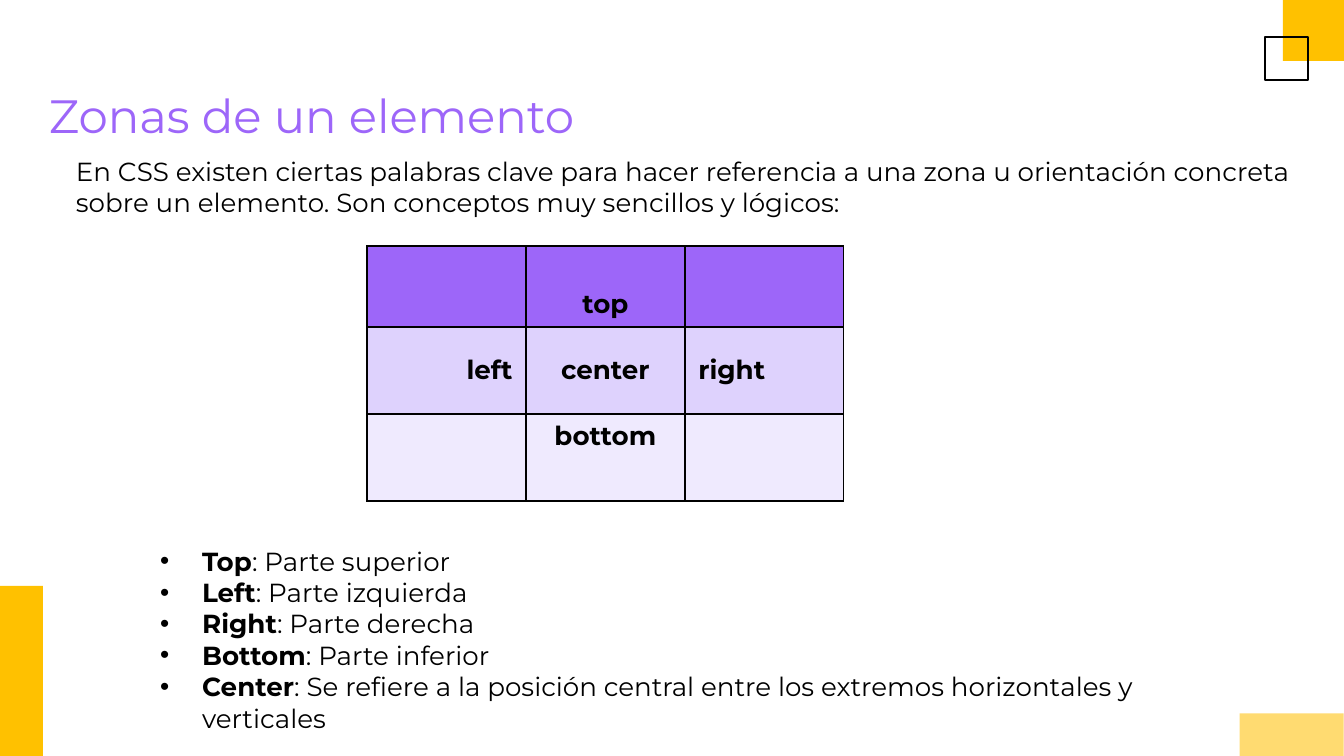
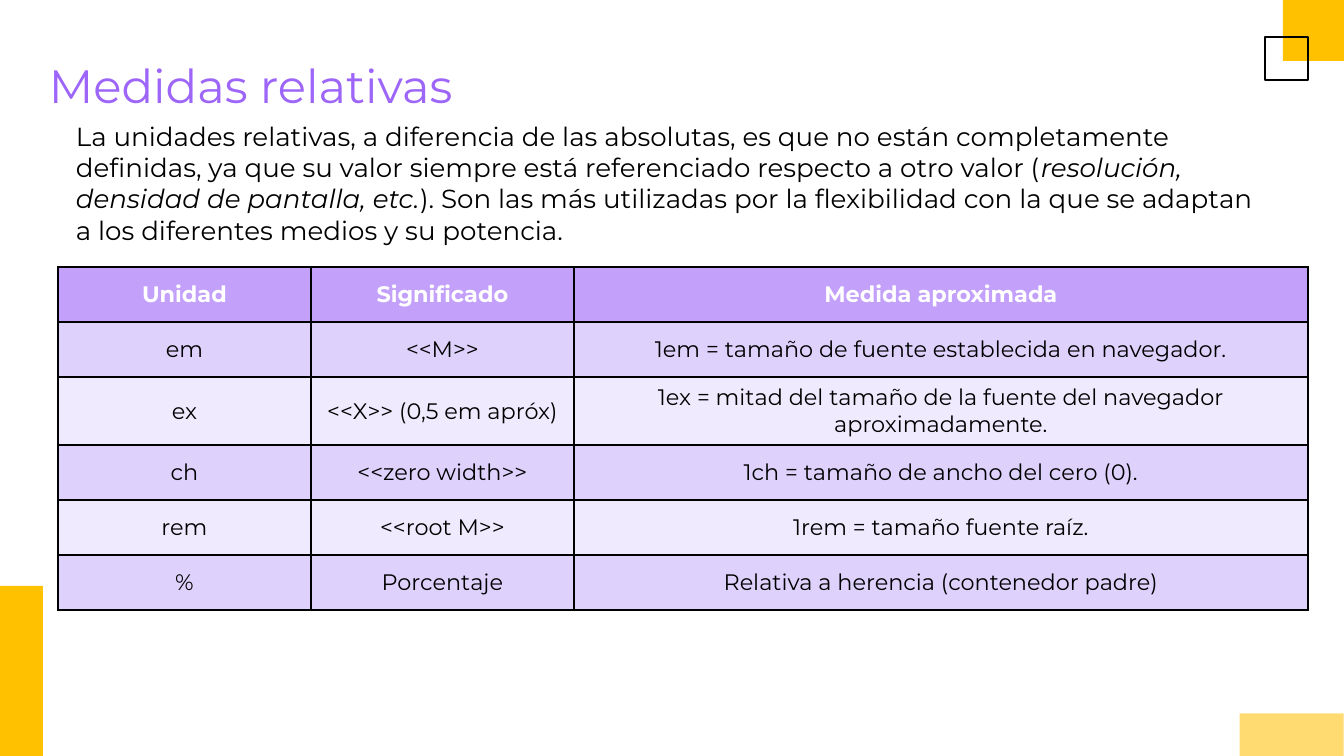
"""Build two slides about CSS: the zones of an element and the relative units."""
from lxml import etree
from pptx import Presentation
from pptx.dml.color import RGBColor
from pptx.enum.shapes import MSO_SHAPE
from pptx.enum.text import MSO_ANCHOR, MSO_AUTO_SIZE, PP_ALIGN
from pptx.oxml.ns import qn
from pptx.util import Pt

PX = 914400 / 134.4
WIDTH, HEIGHT = 1344, 756
INSET = round(13 * PX)
FONT = "Montserrat"
TITLE_SIZE, TEXT_SIZE, UNIT_SIZE = 25, 14, 12
THIN, THICK = 0.75, 0.96

BLACK = RGBColor(0x00, 0x00, 0x00)
WHITE = RGBColor(0xFF, 0xFF, 0xFF)
YELLOW = RGBColor(0xFF, 0xC1, 0x00)
PALE_YELLOW = RGBColor(0xFF, 0xDB, 0x71)
PURPLE = RGBColor(0x9D, 0x66, 0xF9)
MID_PURPLE = RGBColor(0xC3, 0xA1, 0xFB)
LILAC = RGBColor(0xDE, 0xD2, 0xFD)
PALE_LILAC = RGBColor(0xEF, 0xEA, 0xFE)

RECTANGLE = MSO_SHAPE.RECTANGLE
LEFT, CENTER, RIGHT = PP_ALIGN.LEFT, PP_ALIGN.CENTER, PP_ALIGN.RIGHT
TOP, MIDDLE, BOTTOM = MSO_ANCHOR.TOP, MSO_ANCHOR.MIDDLE, MSO_ANCHOR.BOTTOM
NO_AUTOFIT = MSO_AUTO_SIZE.NONE
SIDES = {"a:lnL": (0, -1), "a:lnR": (0, 1), "a:lnT": (-1, 0), "a:lnB": (1, 0)}


def style_paragraph(paragraph, size, color, alignment=LEFT, bold=False):
    """Format a paragraph and all its runs."""
    paragraph.alignment = alignment
    paragraph.space_before = paragraph.space_after = Pt(0)
    for run in paragraph.runs:
        run.font.name = FONT
        run.font.size = Pt(size)
        run.font.color.rgb = color
        run.font.bold = bold


def add_grid(slide, position, widths, heights, rows, fills, alignments, anchors,
             size, bold, line_width, thick_cell=None):
    """Add a bordered table, with heavier lines around thick_cell."""
    left, top = position
    table = slide.shapes.add_table(
        len(heights), len(widths), round(left * PX), round(top * PX),
        round(sum(widths) * PX), round(sum(heights) * PX)).table
    table.horz_banding = False
    for column, width in zip(table.columns, widths):
        column.width = round(width * PX)
    for row, height in zip(table.rows, heights):
        row.height = round(height * PX)
    for i, texts in enumerate(rows):
        for j, text in enumerate(texts):
            cell = table.cell(i, j)
            cell.text = text
            cell.vertical_anchor = anchors[i]
            style_paragraph(cell.text_frame.paragraphs[0], size, BLACK, alignments[j], bold)
            properties = cell._tc.get_or_add_tcPr()
            for tag, (down, across) in SIDES.items():
                thick = thick_cell in ((i, j), (i + down, j + across))
                line = etree.SubElement(properties, qn(tag))
                line.set("w", str(Pt(THICK if thick else line_width)))
                fill = etree.SubElement(line, qn("a:solidFill"))
                etree.SubElement(fill, qn("a:srgbClr")).set("val", str(BLACK))
            cell.fill.solid()
            cell.fill.fore_color.rgb = fills[i]
    return table


presentation = Presentation()
presentation.slide_width = round(WIDTH * PX)
presentation.slide_height = round(HEIGHT * PX)
zones_slide = presentation.slides.add_slide(presentation.slide_layouts[1])
units_slide = presentation.slides.add_slide(presentation.slide_layouts[5])

decorations = [
    (1283, 0, 61, 61, 0, YELLOW),
    (0, 586, 43, 170, 0, YELLOW),
    (1265, 37, 43, 43, 0, None),
    (1270, 683, 43, 104, 90, PALE_YELLOW),
]
master_tree = presentation.slide_master.shapes.element
for number, (left, top, width, height, rotation, color) in enumerate(decorations):
    shape = zones_slide.shapes.add_shape(
        RECTANGLE, *(round(length * PX) for length in (left, top, width, height)))
    shape.shadow.inherit = False
    shape.rotation = rotation
    if color is None:
        shape.fill.background()
        shape.line.color.rgb = BLACK
        shape.line.width = Pt(1.5)
    else:
        shape.fill.solid()
        shape.fill.fore_color.rgb = color
        shape.line.fill.background()
    shape.element.nvSpPr.cNvPr.set("id", str(20 + number))
    master_tree.append(shape.element)

contents = [
    (zones_slide, "Zonas de un elemento", 74, (142, 1262, 83), [
        ("En CSS existen ciertas palabras clave para hacer referencia a una zona u "
         "orientación concreta sobre un elemento. Son conceptos muy sencillos y lógicos:", False),
    ]),
    (units_slide, "Medidas relativas", 44, (107, 1235, 134), [
        ("La unidades relativas, a diferencia de las absolutas, es que no están completamente "
         "definidas, ya que su valor siempre está referenciado respecto a otro valor (", False),
        ("resolución, densidad de pantalla, etc.", True),
        ("). Son las más utilizadas por la flexibilidad con la que se adaptan a los diferentes "
         "medios y su potencia.", False),
    ]),
]
zone_list = zones_slide.placeholders[1]
zone_list.left, zone_list.top = round(130 * PX), round(532 * PX)
zone_list.width, zone_list.height = round(1094 * PX), round(216 * PX)
frames = [zone_list.text_frame]

for slide, title_text, title_top, (top, width, height), parts in contents:
    title = slide.shapes.title
    title.left, title.top = round(36 * PX), round(title_top * PX)
    title.width, title.height = round(1273 * PX), round(85 * PX)
    title.text_frame.text = title_text
    style_paragraph(title.text_frame.paragraphs[0], TITLE_SIZE, PURPLE)

    intro = slide.shapes.add_textbox(
        round(46 * PX), round(top * PX), round(width * PX), round(height * PX))
    paragraph = intro.text_frame.paragraphs[0]
    for text, italic in parts:
        run = paragraph.add_run()
        run.text = text
        run.font.italic = italic
    style_paragraph(paragraph, TEXT_SIZE, BLACK)
    paragraph._p.get_or_add_pPr().set("marL", str(round(17 * PX)))
    frames += [title.text_frame, intro.text_frame]

for frame in frames:
    frame.word_wrap = True
    frame.auto_size = NO_AUTOFIT
    frame.vertical_anchor = TOP
    frame.margin_left = frame.margin_right = INSET
    frame.margin_top = frame.margin_bottom = INSET

zones = [
    ("Top", "Parte superior"),
    ("Left", "Parte izquierda"),
    ("Right", "Parte derecha"),
    ("Bottom", "Parte inferior"),
    ("Center", "Se refiere a la posición central entre los extremos horizontales y verticales"),
]
for index, (zone, meaning) in enumerate(zones):
    frame = zone_list.text_frame
    paragraph = frame.add_paragraph() if index else frame.paragraphs[0]
    paragraph.text = zone
    paragraph.add_run().text = f": {meaning}"
    style_paragraph(paragraph, TEXT_SIZE, BLACK)
    paragraph.runs[0].font.bold = True
    properties = paragraph._p.get_or_add_pPr()
    properties.set("marL", str(round(59 * PX)))
    properties.set("indent", str(round(-42 * PX)))
    bullet_color = etree.SubElement(properties, qn("a:buClr"))
    etree.SubElement(bullet_color, qn("a:srgbClr")).set("val", str(BLACK))
    etree.SubElement(properties, qn("a:buFont")).set("typeface", "Arial")
    etree.SubElement(properties, qn("a:buChar")).set("char", "•")

zone_rows = [
    ("", "top", ""),
    ("left", "center", "right"),
    ("", "bottom", ""),
]
add_grid(zones_slide, (367, 246), [159] * 3, [81, 87, 87], zone_rows,
         [PURPLE, LILAC, PALE_LILAC], [RIGHT, CENTER, LEFT], [BOTTOM, MIDDLE, TOP],
         TEXT_SIZE, True, THIN, thick_cell=(1, 1))

unit_rows = [
    ("Unidad", "Significado", "Medida aproximada"),
    ("em", "<<M>>", "1em = tamaño de fuente establecida en navegador."),
    ("ex", "<<X>> (0,5 em apróx)",
     "1ex = mitad del tamaño de la fuente del navegador aproximadamente."),
    ("ch", "<<zero width>>", "1ch = tamaño de ancho del cero (0)."),
    ("rem", "<<root M>>", "1rem = tamaño fuente raíz."),
    ("%", "Porcentaje", "Relativa a herencia (contenedor padre)"),
]
unit_fills = [MID_PURPLE, LILAC, PALE_LILAC, LILAC, PALE_LILAC, LILAC]
unit_table = add_grid(units_slide, (58, 267), [253, 263, 734], [55, 55, 66, 55, 55, 55],
                      unit_rows, unit_fills, [CENTER] * 3, [MIDDLE] * 6,
                      UNIT_SIZE, False, THICK)
for cell in unit_table.rows[0].cells:
    style_paragraph(cell.text_frame.paragraphs[0], UNIT_SIZE, WHITE, CENTER, True)

presentation.save("out.pptx")
